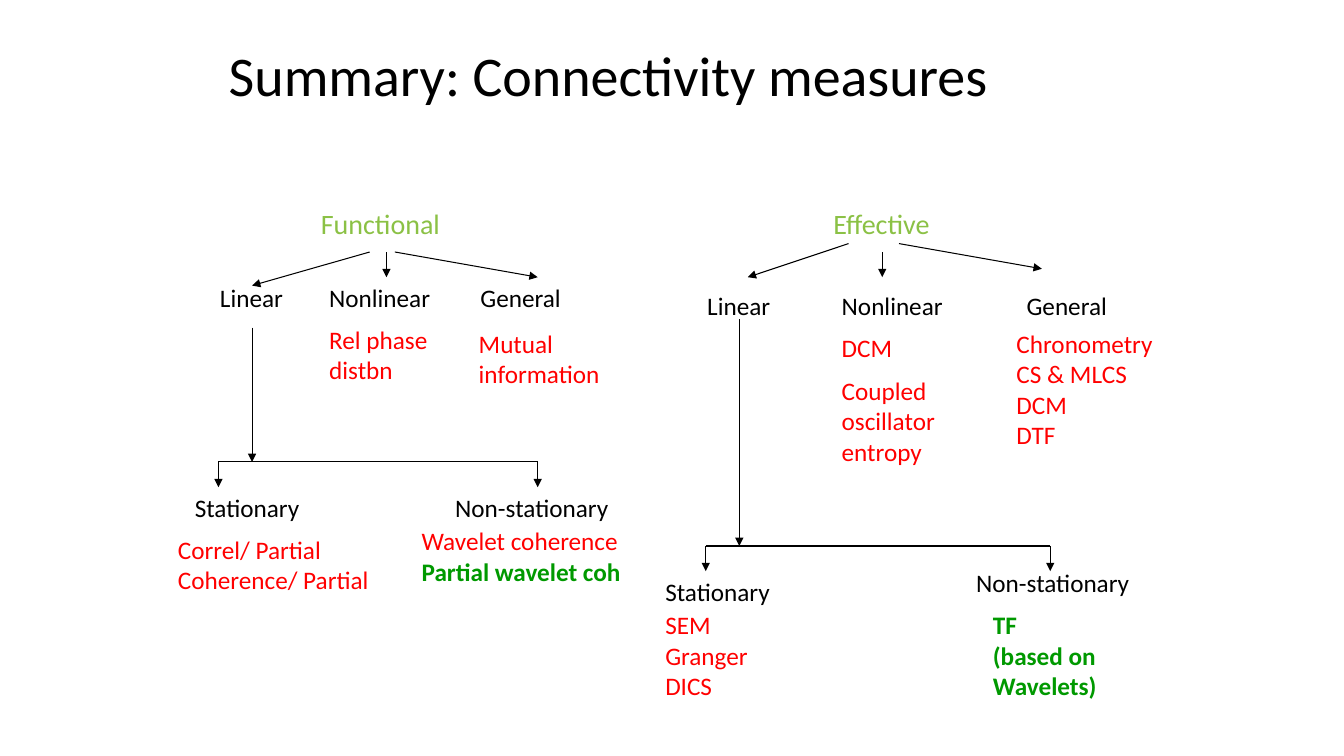
from lxml.etree import SubElement
from pptx import Presentation
from pptx.dml.color import RGBColor
from pptx.enum.shapes import MSO_CONNECTOR
from pptx.enum.text import MSO_ANCHOR
from pptx.oxml.ns import qn
from pptx.util import Inches, Pt

BLACK, LIME, RED, GREEN = "000000", "8BC145", "FF0000", "009900"
CELL = 1 / 12

FUNCTIONAL = {
    "labels": [
        ("Functional", (17, 0, 23, 5), 20, LIME),
        ("Linear", (5, 9, 11, 5), 18, BLACK),
        ("Nonlinear", (18, 9, 15, 5), 18, BLACK),
        ("General", (36, 9, 14, 5), 18, BLACK),
        ("Stationary", (2, 34, 15, 5), 18, BLACK),
        ("Non-stationary", (33, 34, 21, 5), 18, BLACK),
    ],
    "measures": [
        (["Rel phase", "distbn"], (18, 14, 15, 8.5), 0),
        (["Mutual", "information"], (35.8, 14.5, 17.5, 8.5), 0),
        (["Correl/ Partial", "Coherence/ Partial"], (0, 39, 32, 8.5), 0),
        (["Wavelet coherence", "Partial wavelet coh"], (29, 38, 34, 8.5), 0),
    ],
    "branches": [(24, 6, 10, 10), (27, 6, 44, 9), (26, 6, 26, 9)],
    "stem": (10, 15, 31),
    "fork": (6, 44),
}
EFFECTIVE = {
    "labels": [
        ("Effective", (20, 0, 23, 5), 20, LIME),
        ("Linear", (5, 10, 11, 5), 18, BLACK),
        ("Nonlinear", (21, 10, 15, 5), 18, BLACK),
        ("General", (43, 10, 14, 5), 18, BLACK),
        ("Stationary", (0, 44, 15, 5), 18, BLACK),
        ("Non-stationary", (37, 43, 21, 5), 18, BLACK),
    ],
    "measures": [
        (["DCM", "Coupled oscillator entropy"], (21, 15, 19, 17.5), 9),
        (["Chronometry", "CS & MLCS", "DCM", "DTF"], (41.8, 14.5, 19, 16), 0),
        (["SEM", "Granger", "DICS"], (0, 48, 12.5, 12), 0),
        (["TF", "(based on Wavelets)"], (39, 48, 17, 12), 0),
    ],
    "branches": [(23, 5, 11, 9), (29, 5, 46, 8), (27, 6, 27, 9)],
    "stem": (10, 14, 41),
    "fork": (6, 47),
}
STRONG = {"Partial wavelet coh", "TF", "(based on Wavelets)"}


def rgb(value):
    """Turn a hex string into a colour."""
    return RGBColor.from_string(value)


def add_text(s, lines, box, size=18, color=BLACK, gap=0, spacing=1.0, anchor=MSO_ANCHOR.TOP):
    """Add lines of text in a box given in inches, with strong lines in bold green."""
    tf = s.shapes.add_textbox(*map(Inches, box)).text_frame
    tf.word_wrap = True
    tf.vertical_anchor = anchor
    for i, line in enumerate(lines):
        p = tf.paragraphs[0] if i == 0 else tf.add_paragraph()
        p.line_spacing = spacing
        if i:
            p.space_before = Pt(gap)
        r = p.add_run()
        r.text = line
        r.font.name, r.font.size = "Calibri", Pt(size)
        r.font.bold = line in STRONG
        r.font.color.rgb = rgb(GREEN if line in STRONG else color)


def add_line(s, x1, y1, x2, y2, arrow=True):
    """Add a thin black line in inches, with an arrowhead at its end if wanted."""
    c = s.shapes.add_connector(MSO_CONNECTOR.STRAIGHT, *map(Inches, (x1, y1, x2, y2)))
    c.line.color.rgb = rgb(BLACK)
    c.line.width = Pt(0.75)
    if arrow:
        SubElement(c.line._get_or_add_ln(), qn("a:tailEnd"), type="triangle")
    SubElement(c._element.spPr, qn("a:effectLst"))


def add_tree(s, left, top, tree):
    """Draw one family of measures on a grid that starts at left, top."""
    def at(col, row):
        return left + col * CELL, top + row * CELL

    def frame(col, row, width, height):
        return *at(col, row), width * CELL, height * CELL

    for text, box, size, color in tree["labels"]:
        add_text(s, [text], frame(*box), size=size, color=color)
    for lines, box, gap in tree["measures"]:
        add_text(s, lines, frame(*box), color=RED, gap=gap)
    stem, start, end = tree["stem"]
    first, last = tree["fork"]
    drops = [(col, end, col, end + 3) for col in tree["fork"]]
    for x1, y1, x2, y2 in [*tree["branches"], (stem, start, stem, end), *drops]:
        add_line(s, *at(x1, y1), *at(x2, y2))
    add_line(s, *at(first, end), *at(last, end), arrow=False)


def main():
    """Build and save the slide."""
    prs = Presentation()
    prs.slide_width, prs.slide_height = Inches(13.33), Inches(7.5)
    s = prs.slides.add_slide(prs.slide_layouts[6])
    add_text(s, ["Summary: Connectivity measures"], (2.17, 0.3, 9, 0.95),
             size=40, spacing=0.9, anchor=MSO_ANCHOR.MIDDLE)
    add_tree(s, 20 * CELL, 2, FUNCTIONAL)
    add_tree(s, 78 * CELL, 2, EFFECTIVE)
    prs.save("out.pptx")


if __name__ == "__main__":
    main()
